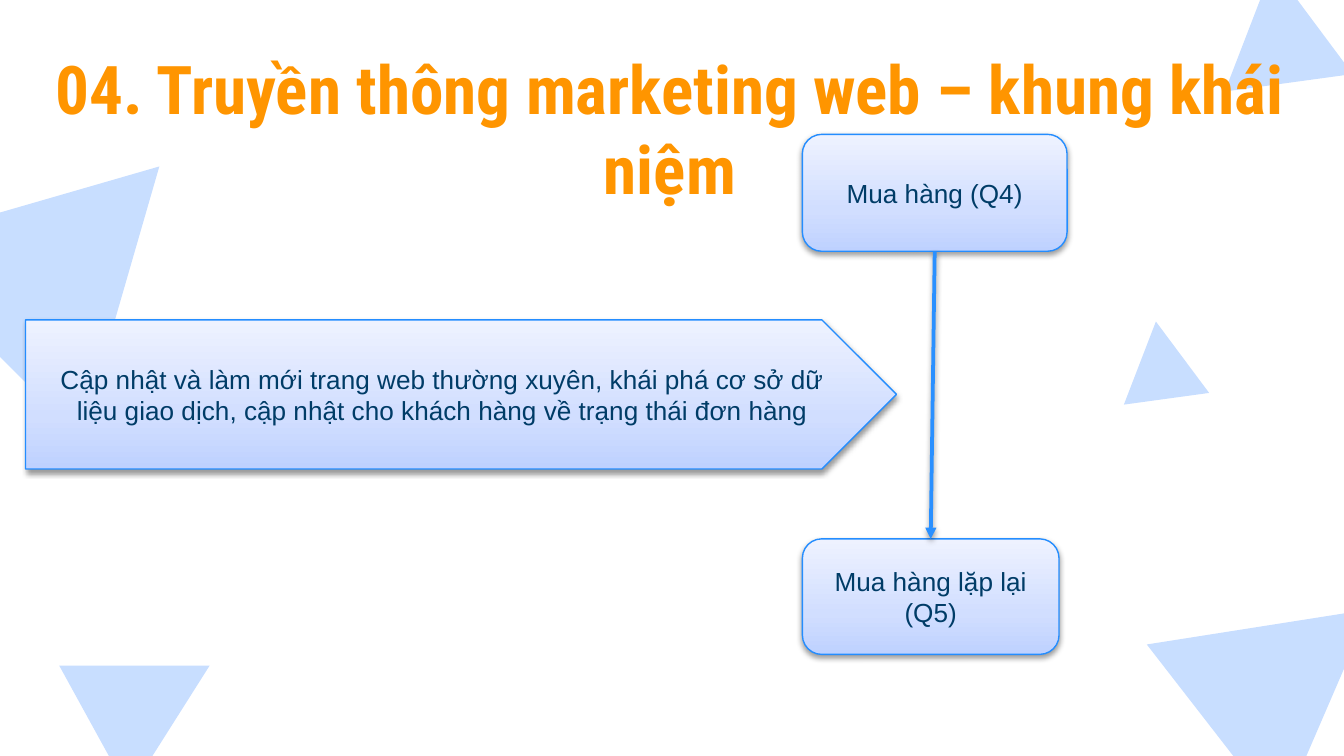
import dataclasses

import lxml.etree
import pptx
import pptx.dml.color
import pptx.enum.shapes
import pptx.enum.text
import pptx.oxml.ns
import pptx.util

Inches = pptx.util.Inches
Pt = pptx.util.Pt
Shape = pptx.enum.shapes.MSO_SHAPE
qn = pptx.oxml.ns.qn


@dataclasses.dataclass(frozen=True)
class Theme:
    title_font: str = "Roboto Condensed"
    body_font: str = "Arial"
    title_size: int = 36
    body_size: int = 14
    title: str = "FF9500"
    text: str = "003C67"
    triangle: str = "C8DEFF"
    outline: str = "248DFF"
    arrow: str = "2A90FF"
    shadow: str = "000000"
    gradient: tuple = ((0, "BED1FF"), (35, "D1DEFF"), (100, "EEF2FF"))


THEME = Theme()

TRIANGLES = [
    (8.32, 2.39, 0.64, 0.58, 352.2),
    (0.59, 4.7, 1.08, 0.98, 61.2),
    (-0.48, 0.97, 2.03, 1.84, 45),
    (9.05, -0.25, 0.96, 0.87, 352.2),
    (8.8, 4.25, 1.62, 1.47, 52.2),
]


def rgb(value):
    return pptx.dml.color.RGBColor.from_string(value)


def add_child(parent, tag, **attributes):
    values = {name: str(value) for name, value in attributes.items()}
    return lxml.etree.SubElement(parent, qn(tag), values)


def set_text(shape, text, font_format, frame_format):
    frame = shape.text_frame
    for name, value in frame_format.items():
        setattr(frame, name, value)
    para = frame.paragraphs[0]
    para.alignment = pptx.enum.text.PP_ALIGN.CENTER
    span = para.add_run()
    span.text = text
    color = font_format["color"]
    for name, value in font_format.items():
        if name != "color":
            setattr(span.font, name, value)
    span.font.color.rgb = rgb(color)


def add_shadow(properties):
    effects = properties.find(qn("a:effectLst"))
    if effects is None:
        effects = add_child(properties, "a:effectLst")
    shadow = add_child(effects, "a:outerShdw", blurRad=Pt(3.1), dist=Pt(1.6),
                       dir=90 * 60000, rotWithShape=0)
    color = add_child(shadow, "a:srgbClr", val=THEME.shadow)
    add_child(color, "a:alpha", val=38000)


def fill_gradient(shape):
    shape.fill.gradient()
    shape.fill.gradient_angle = 90
    stops = shape.element.spPr.find(qn("a:gradFill")).find(qn("a:gsLst"))
    for stop in list(stops):
        stops.remove(stop)
    for position, color in THEME.gradient:
        stop = add_child(stops, "a:gs", pos=position * 1000)
        add_child(stop, "a:srgbClr", val=color)


def add_triangle(page, left, top, width, height, rotation):
    triangle = page.shapes.add_shape(Shape.ISOSCELES_TRIANGLE, Inches(left), Inches(top),
                                     Inches(width), Inches(height))
    triangle.rotation = rotation
    triangle.fill.solid()
    triangle.fill.fore_color.rgb = rgb(THEME.triangle)
    triangle.line.fill.background()
    triangle.shadow.inherit = False


def place_title(page, text):
    title = page.shapes.title
    place = {"left": -0.12, "top": 0.25, "width": 10.21, "height": 0.84}
    for name, value in place.items():
        setattr(title, name, Inches(value))
    sides = ("margin_left", "margin_top", "margin_right", "margin_bottom")
    frame_format = dict.fromkeys(sides, Inches(0.1))
    frame_format.update(word_wrap=True, auto_size=pptx.enum.text.MSO_AUTO_SIZE.NONE,
                        vertical_anchor=pptx.enum.text.MSO_ANCHOR.TOP)
    set_text(title, text, {"name": THEME.title_font, "size": Pt(THEME.title_size),
                           "bold": True, "color": THEME.title}, frame_format)
    title.element.getparent().append(title.element)


def add_box(page, kind, left, top, width, height, text):
    box = page.shapes.add_shape(kind, Inches(left), Inches(top),
                                Inches(width), Inches(height))
    fill_gradient(box)
    box.line.color.rgb = rgb(THEME.outline)
    box.line.width = Pt(0.75)
    box.shadow.inherit = False
    add_shadow(box.element.spPr)
    set_text(box, text, {"name": THEME.body_font, "size": Pt(THEME.body_size),
                         "color": THEME.text},
             {"word_wrap": True, "vertical_anchor": pptx.enum.text.MSO_ANCHOR.MIDDLE})
    return box


def add_arrow(page, upper, lower):
    arrow = page.shapes.add_connector(pptx.enum.shapes.MSO_CONNECTOR.STRAIGHT, 0, 0, 0, 0)
    arrow.begin_connect(upper, 2)
    arrow.end_connect(lower, 0)
    arrow.line.color.rgb = rgb(THEME.arrow)
    arrow.line.width = Pt(2)
    properties = arrow.element.spPr
    add_child(properties.find(qn("a:ln")), "a:tailEnd", type="triangle")
    add_shadow(properties)


def main():
    deck = pptx.Presentation()
    deck.slide_width = Inches(10)
    deck.slide_height = Inches(10) * 9 // 16
    page = deck.slides.add_slide(deck.slide_layouts[5])
    for triangle in TRIANGLES:
        add_triangle(page, *triangle)
    place_title(page, "04. Truyền thông marketing web – khung khái niệm")
    purchase = add_box(page, Shape.ROUNDED_RECTANGLE, 5.97, 1, 1.97, 0.87,
                       "Mua hàng (Q4)")
    repeat = add_box(page, Shape.ROUNDED_RECTANGLE, 5.97, 4.01, 1.91, 0.86,
                     "Mua hàng lặp lại (Q5)")
    add_box(page, Shape.PENTAGON, 0.19, 2.38, 6.48, 1.11,
            "Cập nhật và làm mới trang web thường xuyên, khái phá cơ sở dữ liệu "
            "giao dịch, cập nhật cho khách hàng về trạng thái đơn hàng")
    add_arrow(page, purchase, repeat)
    deck.save("out.pptx")


if __name__ == "__main__":
    main()
